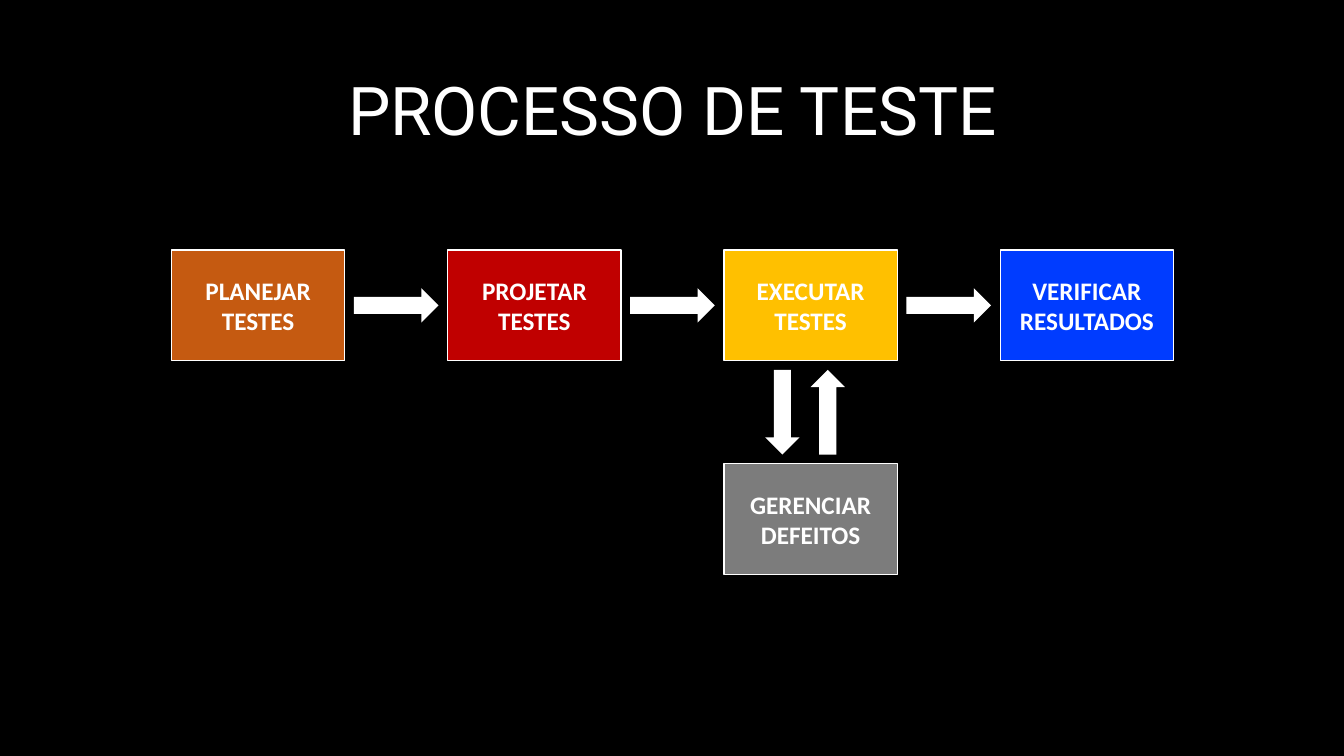
from dataclasses import dataclass

from pptx import Presentation
from pptx.dml.color import RGBColor
from pptx.enum.shapes import MSO_SHAPE as Shape
from pptx.enum.text import MSO_ANCHOR as Anchor, PP_ALIGN as Align
from pptx.slide import Slide
from pptx.text.text import TextFrame
from pptx.util import Emu, Pt

BLACK = RGBColor(0x00, 0x00, 0x00)
WHITE = RGBColor(0xFF, 0xFF, 0xFF)
ORANGE = RGBColor(0xC5, 0x5A, 0x11)
RED = RGBColor(0xC0, 0x00, 0x00)
AMBER = RGBColor(0xFF, 0xC0, 0x00)
GRAY = RGBColor(0x7C, 0x7C, 0x7C)
BLUE = RGBColor(0x00, 0x3C, 0xFF)

SCALE = 9144
LEFT, PITCH = 170, 274
TOP, LOWER = 248, 460
WIDTH, HEIGHT = 172, 110
LONG, THICK = 84, 34


@dataclass
class Step:
    text: str
    col: int
    top: int
    color: RGBColor


@dataclass
class Arrow:
    left: int
    top: int
    turn: int = 0


STEPS = [
    Step("PLANEJAR TESTES", 0, TOP, ORANGE),
    Step("PROJETAR TESTES", 1, TOP, RED),
    Step("EXECUTAR TESTES", 2, TOP, AMBER),
    Step("GERENCIAR DEFEITOS", 2, LOWER, GRAY),
    Step("VERIFICAR RESULTADOS", 3, TOP, BLUE),
]
ARROWS = [Arrow(351 + PITCH * col, 286) for col in range(3)] + [
    Arrow(734, 392, 90),
    Arrow(779, 392, 270),
]


def px(size: int) -> Emu:
    return Emu(size * SCALE)


def write(frame: TextFrame, text: str, font: str, size: int, bold: bool) -> None:
    frame.text = text
    frame.word_wrap = True
    frame.vertical_anchor = Anchor.MIDDLE
    line = frame.paragraphs[0]
    line.alignment = Align.CENTER
    face = line.runs[0].font
    face.name = font
    face.size = Pt(size)
    face.bold = bold
    face.color.rgb = WHITE


def draw_title(slide: Slide) -> None:
    box = slide.shapes.add_textbox(px(92), px(40), px(1150), px(145))
    write(box.text_frame, "PROCESSO DE TESTE", "Roboto", 48, False)
    box.text_frame.paragraphs[0].line_spacing = 0.9


def draw_step(slide: Slide, step: Step) -> None:
    box = slide.shapes.add_shape(
        Shape.RECTANGLE, px(LEFT + PITCH * step.col), px(step.top), px(WIDTH), px(HEIGHT)
    )
    box.shadow.inherit = False
    box.fill.solid()
    box.fill.fore_color.rgb = step.color
    box.line.color.rgb = WHITE
    box.line.width = Pt(1)
    write(box.text_frame, step.text, "Calibri", 18, True)


def draw_arrow(slide: Slide, arrow: Arrow) -> None:
    shape = slide.shapes.add_shape(
        Shape.RIGHT_ARROW, px(arrow.left), px(arrow.top), px(LONG), px(THICK)
    )
    shape.shadow.inherit = False
    shape.rotation = arrow.turn
    shape.fill.solid()
    shape.fill.fore_color.rgb = WHITE
    shape.line.fill.background()


def main() -> None:
    deck = Presentation()
    deck.slide_width = px(1333)
    deck.slide_height = px(750)
    slide = deck.slides.add_slide(deck.slide_layouts[6])
    slide.background.fill.solid()
    slide.background.fill.fore_color.rgb = BLACK
    draw_title(slide)
    for step in STEPS:
        draw_step(slide, step)
    for arrow in ARROWS:
        draw_arrow(slide, arrow)
    deck.save("out.pptx")


if __name__ == "__main__":
    main()
